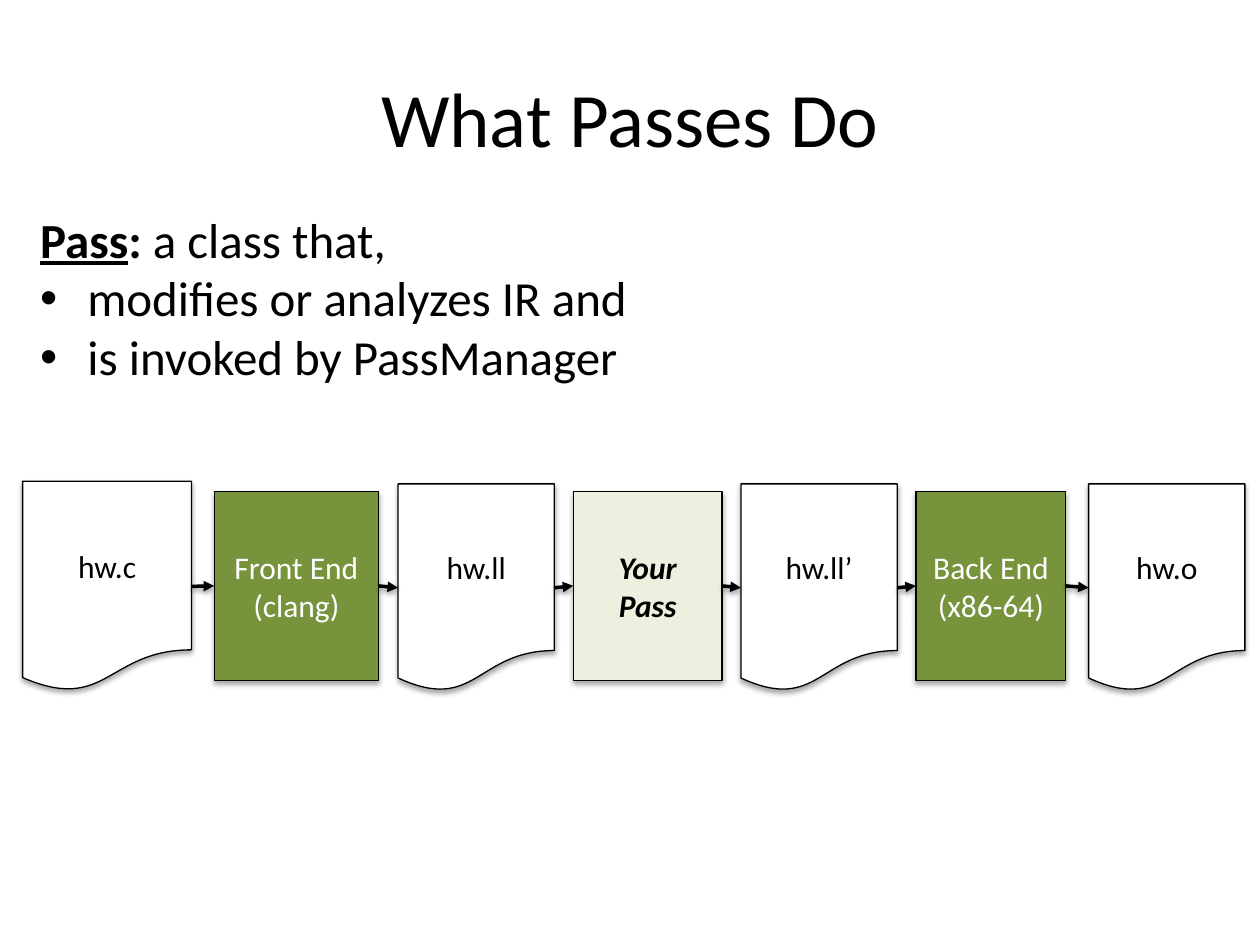
from dataclasses import dataclass
from itertools import pairwise

from lxml import etree
from pptx import Presentation
from pptx.dml.color import RGBColor
from pptx.enum.shapes import MSO_CONNECTOR, MSO_SHAPE
from pptx.enum.text import MSO_ANCHOR, PP_ALIGN
from pptx.oxml.ns import qn
from pptx.util import Pt

DOCUMENT = MSO_SHAPE.FLOWCHART_DOCUMENT
STAGE = MSO_SHAPE.RECTANGLE
STRAIGHT = MSO_CONNECTOR.STRAIGHT
CENTER, LEFT = PP_ALIGN.CENTER, PP_ALIGN.LEFT
MIDDLE, TOP = MSO_ANCHOR.MIDDLE, MSO_ANCHOR.TOP
LEFT_SITE, RIGHT_SITE = 1, 3


@dataclass(frozen=True)
class Theme:
    font: str = "Calibri"
    ink: RGBColor = RGBColor(0x00, 0x00, 0x00)
    paper: RGBColor = RGBColor(0xFF, 0xFF, 0xFF)
    green: RGBColor = RGBColor(0x77, 0x93, 0x3C)
    pale_green: RGBColor = RGBColor(0xEB, 0xF1, 0xDE)
    title_size: int = 44
    body_size: int = 28
    label_size: int = 18


class SlideBuilder:
    def __init__(self, slide, theme):
        self.slide = slide
        self.theme = theme

    def style(self, paragraph, size, color, align, bold=None, italic=None):
        paragraph.alignment = align
        font = paragraph.font
        font.name, font.size = self.theme.font, Pt(size)
        font.color.rgb = color
        font.bold, font.italic = bold, italic

    def cast_shadow(self, shape, opacity, distance):
        effects = etree.SubElement(shape.element.spPr, qn("a:effectLst"))
        shadow = etree.SubElement(
            effects, qn("a:outerShdw"), blurRad=str(Pt(3.1)),
            dist=str(Pt(distance)), dir="5400000", rotWithShape="0")
        color = etree.SubElement(shadow, qn("a:srgbClr"), val=str(self.theme.ink))
        etree.SubElement(color, qn("a:alpha"), val=str(opacity * 1000))

    def title(self, text, left, top, width, height):
        title = self.slide.shapes.title
        title.left, title.top = Pt(left), Pt(top)
        title.width, title.height = Pt(width), Pt(height)
        title.text_frame.text = text
        title.text_frame.vertical_anchor = MIDDLE
        self.style(title.text_frame.paragraphs[0], self.theme.title_size,
                   self.theme.ink, CENTER)

    def definition(self, term, lead, points, left, top, width, height):
        box = self.slide.shapes.add_textbox(Pt(left), Pt(top), Pt(width), Pt(height))
        frame = box.text_frame
        frame.word_wrap = True
        frame.vertical_anchor = TOP
        opening = frame.paragraphs[0]
        for text, bold, underline in ((term, True, True), (": ", True, None),
                                      (lead, None, None)):
            run = opening.add_run()
            run.text = text
            run.font.bold, run.font.underline = bold, underline
        for point in points:
            paragraph = frame.add_paragraph()
            paragraph.text = point
            self.bullet(paragraph, 27)
        for paragraph in frame.paragraphs:
            self.style(paragraph, self.theme.body_size, self.theme.ink, LEFT)

    def bullet(self, paragraph, indent):
        properties = paragraph._p.get_or_add_pPr()
        properties.set("marL", str(Pt(indent)))
        properties.set("indent", str(-Pt(indent)))
        etree.SubElement(properties, qn("a:buFont"), typeface="Arial")
        etree.SubElement(properties, qn("a:buChar"), char="•")

    def block(self, kind, text, left, top, width, height, fill, color, emphasis=None):
        block = self.slide.shapes.add_shape(
            kind, Pt(left), Pt(top), Pt(width), Pt(height))
        block.fill.solid()
        block.fill.fore_color.rgb = fill
        block.line.color.rgb = self.theme.ink
        block.line.width = Pt(0.75)
        self.cast_shadow(block, 35, 1.8)
        frame = block.text_frame
        frame.word_wrap = True
        frame.vertical_anchor = MIDDLE
        frame.text = text
        for paragraph in frame.paragraphs:
            self.style(paragraph, self.theme.label_size, color, CENTER,
                       emphasis, emphasis)
        return block

    def arrow(self, source, target):
        arrow = self.slide.shapes.add_connector(STRAIGHT, 0, 0, 0, 0)
        arrow.begin_connect(source, RIGHT_SITE)
        arrow.end_connect(target, LEFT_SITE)
        arrow.line.color.rgb = self.theme.ink
        arrow.line.width = Pt(2)
        etree.SubElement(arrow.line._get_or_add_ln(), qn("a:tailEnd"), type="triangle")
        self.cast_shadow(arrow, 38, 1.6)


def main():
    presentation = Presentation()
    presentation.slide_width, presentation.slide_height = Pt(720), Pt(540)
    theme = Theme()
    slide = presentation.slides.add_slide(presentation.slide_layouts[5])
    builder = SlideBuilder(slide, theme)

    builder.title("What Passes Do", 36, 21.6, 648, 90)
    builder.definition(
        "Pass", "a class that,",
        ("modifies or analyzes IR and", "is invoked by PassManager"),
        15.84, 115.92, 623.5, 108.7)

    file_row = (276.5, 118.8)
    stage_row = (280.8, 108)
    file_look = (theme.paper, theme.ink)
    stage_look = (theme.green, theme.paper)
    pass_look = (theme.pale_green, theme.ink, True)
    pipeline = (
        (DOCUMENT, "hw.c", 12.96, 96.5, (275, 120.2), file_look),
        (STAGE, "Front End\n(clang)", 122.4, 93.9, stage_row, stage_look),
        (DOCUMENT, "hw.ll", 227.5, 89.3, file_row, file_look),
        (STAGE, "Your\nPass", 327.6, 85, stage_row, pass_look),
        (DOCUMENT, "hw.ll’", 423.4, 89.3, file_row, file_look),
        (STAGE, "Back End\n(x86-64)", 523.4, 85.7, stage_row, stage_look),
        (DOCUMENT, "hw.o", 622.1, 89.3, file_row, file_look),
    )
    blocks = [
        builder.block(kind, text, left, top, width, height, *look)
        for kind, text, left, width, (top, height), look in pipeline
    ]
    for source, target in pairwise(blocks):
        builder.arrow(source, target)

    presentation.save("out.pptx")


if __name__ == "__main__":
    main()
